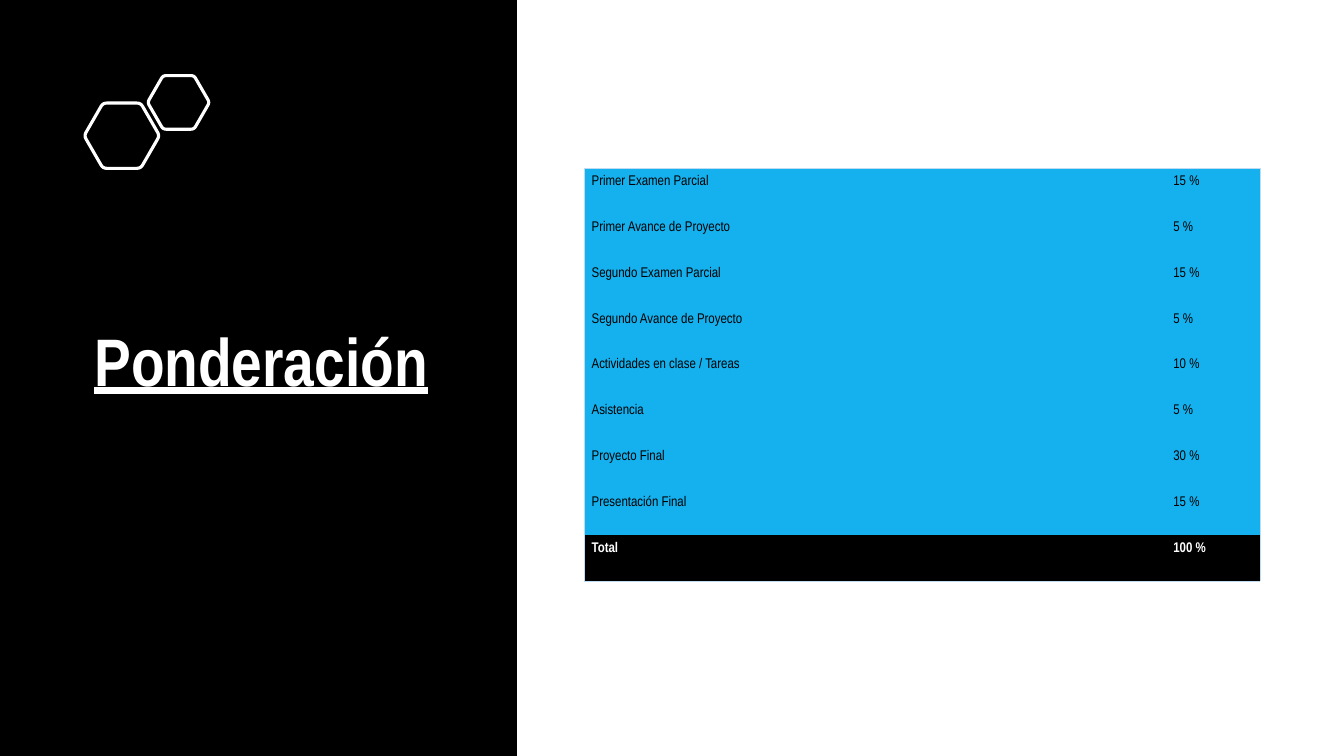
"""Build the grade weighting slide: dark title panel, two hexagons and a table."""
from dataclasses import dataclass
from math import cos, pi, sin

from lxml import etree
from pptx import Presentation
from pptx.dml.color import RGBColor
from pptx.enum.shapes import MSO_SHAPE
from pptx.enum.text import MSO_ANCHOR
from pptx.oxml.ns import qn
from pptx.util import Cm, Pt

RECT = MSO_SHAPE.RECTANGLE
MIDDLE = MSO_ANCHOR.MIDDLE

HUES = {"black": "000000", "white": "FFFFFF", "blue": "14B1EE", "edge": "BDDBF2"}
FACE = "Arial Narrow"
TITLE = {"name": FACE, "size": Pt(48), "bold": True, "underline": True}
BODY = {"name": FACE, "size": Pt(10), "bold": False}
TOTAL = {**BODY, "bold": True}
INSET = {f"margin_{side}": Cm(0.18) for side in ("left", "right", "top", "bottom")}
FRAME = {"word_wrap": True, "vertical_anchor": MIDDLE}
PLAIN = "{2D5ABB26-0587-4C30-8999-92F81FD0307C}"
WIDTHS = (14.66, 2.36)
HEIGHT = 10.41


@dataclass
class Hex:
    x: float
    y: float
    size: float


@dataclass
class Grade:
    task: str
    share: str


HEXES = [Hex(3.07, 3.42, 0.95), Hex(4.5, 2.58, 0.78)]
GRADES = [
    Grade("Primer Examen Parcial", "15 %"),
    Grade("Primer Avance de Proyecto", "5 %"),
    Grade("Segundo Examen Parcial", "15 %"),
    Grade("Segundo Avance de Proyecto", "5 %"),
    Grade("Actividades en clase / Tareas", "10 %"),
    Grade("Asistencia", "5 %"),
    Grade("Proyecto Final", "30 %"),
    Grade("Presentación Final", "15 %"),
    Grade("Total", "100 %"),
]


def tint(name: str) -> RGBColor:
    return RGBColor.from_string(HUES[name])


def apply(item, values: dict) -> None:
    for key, value in values.items():
        setattr(item, key, value)


def write(frame, text: str, style: dict, hue: str) -> None:
    run = frame.paragraphs[0].add_run()
    run.text = text
    apply(run.font, style)
    run.font.color.rgb = tint(hue)


def draw_panel(slide) -> None:
    panel = slide.shapes.add_shape(RECT, 0, 0, Cm(13.03), Cm(19.05))
    panel.shadow.inherit = False
    panel.fill.solid()
    panel.fill.fore_color.rgb = tint("black")
    panel.line.fill.background()


def draw_hex(slide, spot: Hex, cut: float = 0.1, steps: int = 4) -> None:
    tips = [
        (spot.x + spot.size * cos(k * pi / 3), spot.y + spot.size * sin(k * pi / 3))
        for k in range(6)
    ]
    points = []
    for k, tip in enumerate(tips):
        last, after = tips[k - 1], tips[(k + 1) % 6]
        for step in range(steps + 1):
            t = step / steps
            back, ahead = cut * (1 - t) ** 2, cut * t ** 2
            points.append(tuple(
                Cm(c + back * (a - c) + ahead * (b - c))
                for a, c, b in zip(last, tip, after)
            ))
    pen = slide.shapes.build_freeform(*points[0])
    pen.add_line_segments(points[1:], close=True)
    shape = pen.convert_to_shape()
    shape.shadow.inherit = False
    shape.fill.background()
    shape.line.color.rgb = tint("white")
    shape.line.width = Pt(2.25)


def draw_title(slide) -> None:
    box = slide.shapes.add_textbox(Cm(2.13), Cm(3.25), Cm(9.96), Cm(11.89))
    apply(box.text_frame, FRAME)
    box.text_frame.paragraphs[0].line_spacing = 0.9
    write(box.text_frame, "Ponderación", TITLE, "white")


def add_edge(cell, side: str, shown: bool) -> None:
    line = etree.SubElement(cell._tc.get_or_add_tcPr(), qn(f"a:ln{side}"))
    if shown:
        line.set("w", str(Pt(0.5)))
        fill = etree.SubElement(line, qn("a:solidFill"))
        etree.SubElement(fill, qn("a:srgbClr")).set("val", HUES["edge"])
    else:
        etree.SubElement(line, qn("a:noFill"))


def draw_table(slide) -> None:
    count = len(GRADES)
    table = slide.shapes.add_table(
        count, 2, Cm(14.73), Cm(4.24), Cm(sum(WIDTHS)), Cm(HEIGHT)
    ).table
    apply(table, {"first_row": False, "horz_banding": False})
    table._tbl.tblPr[0].text = PLAIN
    for col, width in zip(table.columns, WIDTHS):
        col.width = Cm(width)
    for r, grade in enumerate(GRADES):
        table.rows[r].height = Cm(HEIGHT / count)
        final = r == count - 1
        style, ink, fill = (TOTAL, "white", "black") if final else (BODY, "black", "blue")
        for c, text in enumerate((grade.task, grade.share)):
            cell = table.cell(r, c)
            apply(cell, INSET)
            edges = {"L": c == 0, "R": c == 1, "T": r == 0, "B": final}
            for side, shown in edges.items():
                add_edge(cell, side, shown)
            cell.fill.solid()
            cell.fill.fore_color.rgb = tint(fill)
            write(cell.text_frame, text, style, ink)


def main() -> None:
    deck = Presentation()
    apply(deck, {"slide_width": Cm(33.87), "slide_height": Cm(19.05)})
    slide = deck.slides.add_slide(deck.slide_layouts[6])
    draw_panel(slide)
    for spot in HEXES:
        draw_hex(slide, spot)
    draw_title(slide)
    draw_table(slide)
    deck.save("out.pptx")


if __name__ == "__main__":
    main()
